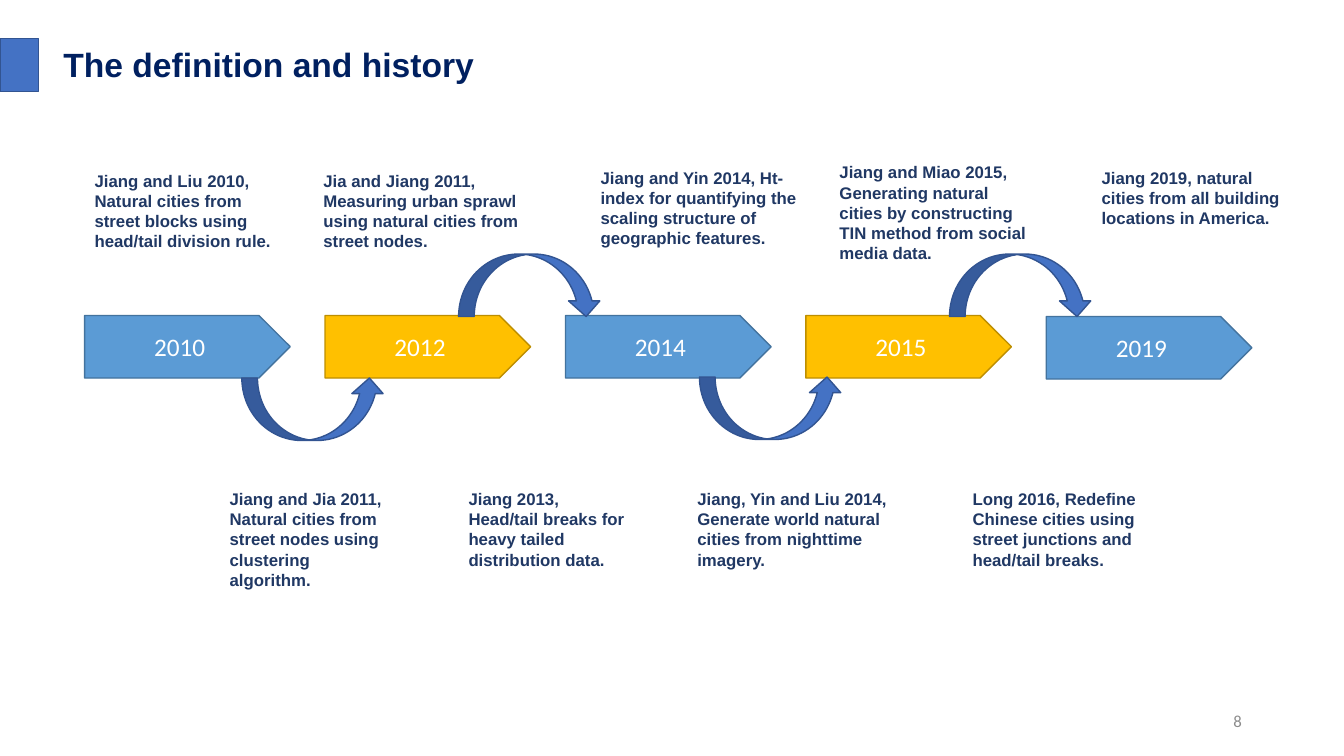
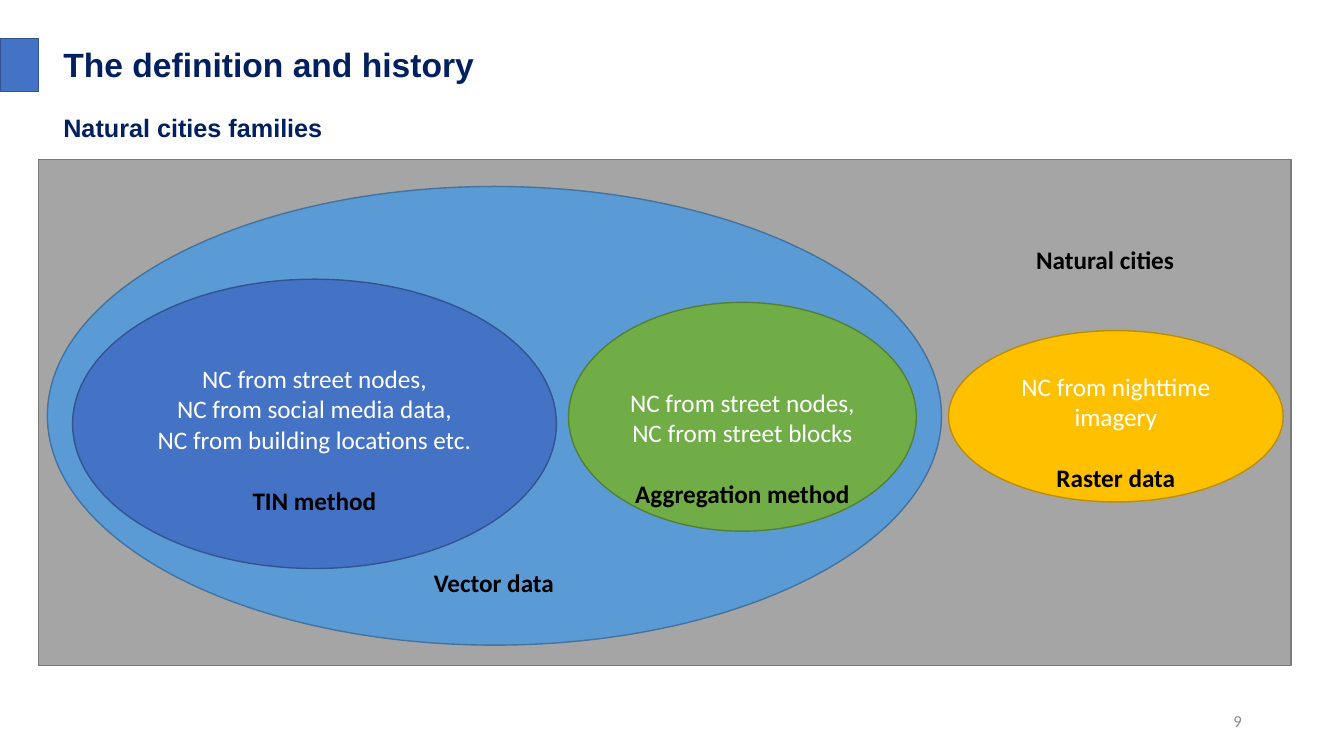
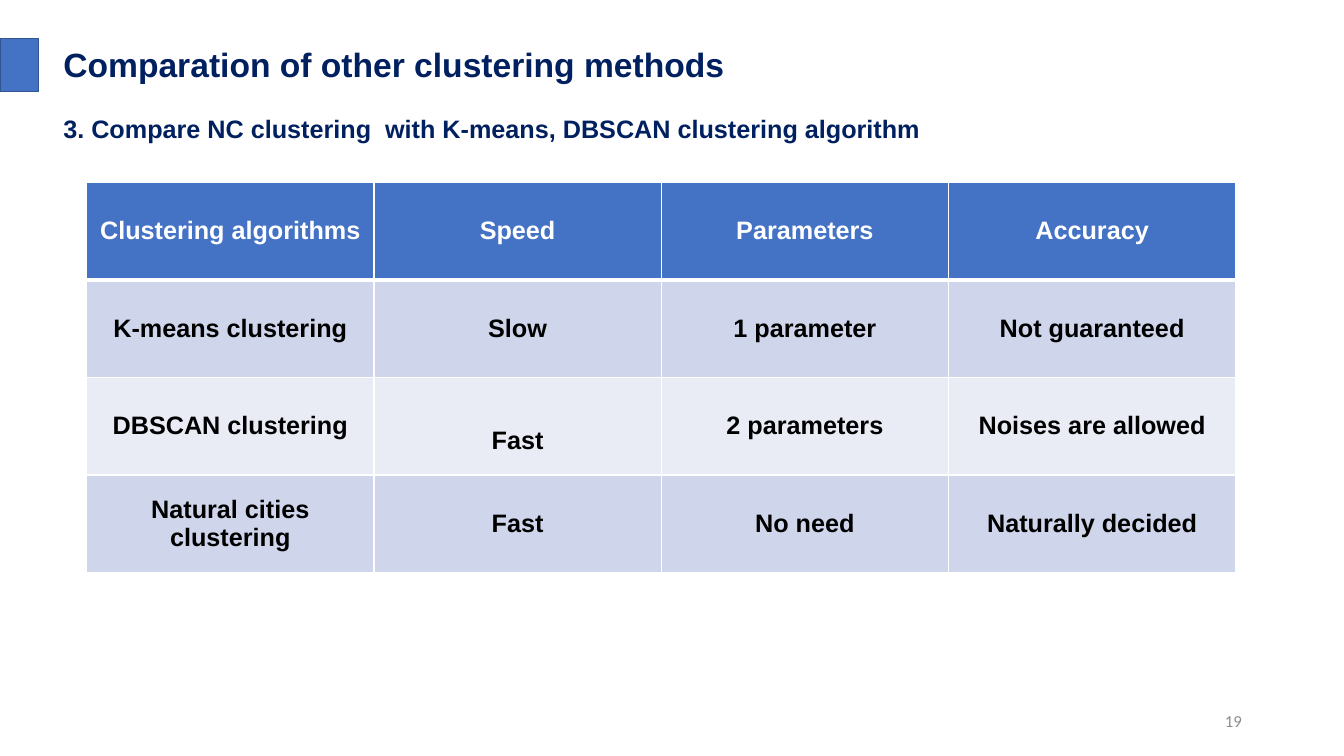
from dataclasses import dataclass

from lxml import etree
from pptx import Presentation
from pptx.dml.color import RGBColor
from pptx.enum.shapes import MSO_SHAPE
from pptx.enum.text import MSO_ANCHOR, PP_ALIGN
from pptx.oxml.ns import qn
from pptx.shapes.autoshape import Shape
from pptx.slide import Slide
from pptx.table import _Cell
from pptx.text.text import TextFrame
from pptx.util import Emu, Inches, Pt

RECT = MSO_SHAPE.RECTANGLE
OVAL = MSO_SHAPE.OVAL
PENTA = MSO_SHAPE.PENTAGON
UP = MSO_SHAPE.CURVED_UP_ARROW
DOWN = MSO_SHAPE.CURVED_DOWN_ARROW
LEFT, MID, RIGHT = PP_ALIGN.LEFT, PP_ALIGN.CENTER, PP_ALIGN.RIGHT
TOP, CENTER = MSO_ANCHOR.TOP, MSO_ANCHOR.MIDDLE

NAVY = RGBColor(0x00, 0x20, 0x60)
INK = RGBColor(0x20, 0x38, 0x64)
BLACK = RGBColor(0x00, 0x00, 0x00)
WHITE = RGBColor(0xFF, 0xFF, 0xFF)
DIM = RGBColor(0x8C, 0x8C, 0x8C)
BLUE = RGBColor(0x44, 0x72, 0xC4)
SKY = RGBColor(0x5B, 0x9B, 0xD5)
GOLD = RGBColor(0xFF, 0xC0, 0x00)
GREEN = RGBColor(0x70, 0xAD, 0x47)
GRAY = RGBColor(0xA5, 0xA5, 0xA5)
BAND = RGBColor(0xCF, 0xD5, 0xEA)
PALE = RGBColor(0xE9, 0xEB, 0xF5)
EDGE = {
    BLUE: RGBColor(0x32, 0x54, 0x91),
    SKY: RGBColor(0x43, 0x73, 0x9E),
    GOLD: RGBColor(0xBD, 0x8E, 0x00),
    GREEN: RGBColor(0x53, 0x80, 0x35),
    GRAY: RGBColor(0x7A, 0x7A, 0x7A),
}

WIDE, HIGH = Inches(13.33), Inches(7.5)
COLS, ROWS = 160, 90
PAD = Inches(0.05)
SANS, BODY = "Arial", "Calibri"
GAP = 22


@dataclass(frozen=True)
class Box:
    col: float
    row: float
    wide: float
    high: float

    def place(self) -> tuple[Emu, Emu, Emu, Emu]:
        unit, step = WIDE / COLS, HIGH / ROWS
        return (Emu(round(self.col * unit)), Emu(round(self.row * step)),
                Emu(round(self.wide * unit)), Emu(round(self.high * step)))


@dataclass(frozen=True)
class Note:
    col: float
    row: float
    wide: float
    lines: int
    text: str


@dataclass(frozen=True)
class Group:
    box: Box
    fill: RGBColor
    lead: int
    items: tuple[str, ...]
    foot: str


NOTES = (
    Note(10.08, 19.68, 24.48, 4, "Jiang and Liu 2010, Natural cities from street blocks "
         "using head/tail division rule."),
    Note(26.16, 57.6, 21.84, 5, "Jiang and Jia 2011, Natural cities from street nodes "
         "using clustering algorithm."),
    Note(37.32, 19.68, 25.8, 4, "Jia and Jiang 2011, Measuring urban sprawl using natural "
         "cities from street nodes."),
    Note(54.6, 57.6, 21.84, 4, "Jiang 2013, Head/tail breaks for heavy tailed "
         "distribution data."),
    Note(70.32, 19.32, 25.8, 4, "Jiang and Yin 2014, Ht-index for quantifying the scaling "
         "structure of geographic features."),
    Note(81.84, 57.6, 25.8, 4, "Jiang, Yin and Liu 2014, Generate world natural cities "
         "from nighttime imagery."),
    Note(98.76, 18.72, 25.8, 5, "Jiang and Miao 2015, Generating natural cities by "
         "constructing TIN method from social media data."),
    Note(114.6, 57.6, 25.8, 4, "Long 2016, Redefine Chinese cities using street junctions "
         "and head/tail breaks."),
    Note(129.96, 19.32, 25.8, 3, "Jiang 2019, natural cities from all building locations "
         "in America."),
)
YEARS = ("2010", "2012", "2014", "2015", "2019")
CURVES = ((UP, 28.8, 45), (UP, 83.28, 44.88), (DOWN, 54.6, 30.24), (DOWN, 113.04, 30.24))
GROUPS = (
    Group(Box(112.92, 39.36, 39.84, 20.4), GOLD, 1,
          ("NC from nighttime imagery",), "Raster data"),
    Group(Box(8.64, 33.24, 57.6, 34.44), BLUE, 1,
          ("NC from street nodes,", "NC from social media data,",
           "NC from building locations etc."), "TIN method"),
    Group(Box(67.68, 36, 41.4, 27.24), GREEN, 2,
          ("NC from street nodes,", "NC from street blocks"), "Aggregation method"),
)
TABLE = (
    ("Clustering algorithms", "Speed", "Parameters", "Accuracy"),
    ("K-means clustering", "Slow", "1 parameter", "Not guaranteed"),
    ("DBSCAN clustering", "Fast", "2 parameters", "Noises are allowed"),
    ("Natural cities clustering", "Fast", "No need", "Naturally decided"),
)
FILLS = (BLUE, BAND, PALE, BAND)


def write(frame: TextFrame, text: str, *, size: float = 18, font: str = BODY,
          color: RGBColor = BLACK, bold: bool = False, align: PP_ALIGN = LEFT,
          before: float = 0) -> None:
    first = frame.paragraphs[0]
    para = frame.add_paragraph() if first.runs else first
    para.alignment = align
    if before:
        para.space_before = Pt(before)
    run = para.add_run()
    run.text = text
    run.font.size = Pt(size)
    run.font.name = font
    run.font.bold = bold
    run.font.color.rgb = color


def label(slide: Slide, box: Box, text: str, anchor: MSO_ANCHOR = TOP, **form) -> None:
    frame = slide.shapes.add_textbox(*box.place()).text_frame
    frame.word_wrap = True
    frame.vertical_anchor = anchor
    write(frame, text, **form)


def draw(slide: Slide, kind: MSO_SHAPE, box: Box, fill: RGBColor) -> Shape:
    shape = slide.shapes.add_shape(kind, *box.place())
    shape.shadow.inherit = False
    shape.fill.solid()
    shape.fill.fore_color.rgb = fill
    shape.line.color.rgb = EDGE[fill]
    shape.line.width = Pt(1)
    shape.text_frame.vertical_anchor = CENTER
    return shape


def head(slide: Slide, title: str, page: str) -> None:
    label(slide, Box(6.36, 4.68, 81.36, 6), title,
          size=24, font=SANS, color=NAVY, bold=True)
    draw(slide, RECT, Box(0, 4.56, 4.56, 6.36), BLUE)
    label(slide, Box(113.04, 83.4, 36, 4.8), page, CENTER,
          size=12, color=DIM, align=RIGHT)


def sub(slide: Slide, text: str, row: float) -> None:
    label(slide, Box(6.36, row, 118, 4.8), text, font=SANS, color=NAVY, bold=True)


def history(slide: Slide) -> None:
    head(slide, "The definition and history", "8")
    for i, year in enumerate(YEARS):
        row = 37.68 if year == YEARS[-1] else 37.56
        box = Box(10.08 + i * 28.62, row, 24.48, 7.44)
        shape = draw(slide, PENTA, box, GOLD if i % 2 else SKY)
        write(shape.text_frame, year, color=WHITE, align=MID)
    for kind, col, row in CURVES:
        draw(slide, kind, Box(col, row, 17.04, 7.44), BLUE)
    for note in NOTES:
        box = Box(note.col, note.row, note.wide, 1.2 + 2.42 * note.lines)
        label(slide, box, note.text, size=12, font=SANS, color=INK, bold=True)


def family(slide: Slide) -> None:
    draw(slide, RECT, Box(4.56, 18.96, 149.16, 60.24), GRAY)
    draw(slide, OVAL, Box(5.64, 22.2, 106.44, 54.6), SKY)
    head(slide, "The definition and history", "9")
    sub(slide, "Natural cities families", 12.84)
    for group in GROUPS:
        frame = draw(slide, OVAL, group.box, group.fill).text_frame
        frame.word_wrap = True
        frame.margin_top = PAD + Pt(GAP) * group.lead
        for item in group.items:
            write(frame, item, color=WHITE, align=MID)
        write(frame, group.foot, bold=True, align=MID, before=GAP)
    label(slide, Box(49.2, 66.96, 19.2, 4.8), "Vector data", bold=True, align=MID)
    label(slide, Box(122.16, 28.44, 22.44, 4.8), "Natural cities", bold=True)


def border(cell: _Cell, base: float) -> None:
    props = cell._tc.get_or_add_tcPr()
    sides = (("a:lnL", 1), ("a:lnR", 1), ("a:lnT", 1), ("a:lnB", base))
    for i, (side, width) in enumerate(sides):
        line = etree.Element(qn(side), w=str(Pt(width)))
        fill = etree.SubElement(line, qn("a:solidFill"))
        etree.SubElement(fill, qn("a:srgbClr"), val=str(WHITE))
        props.insert(i, line)


def compare(slide: Slide) -> None:
    head(slide, "Comparation of other clustering methods", "19")
    sub(slide, "3. Compare NC clustering  with K-means, DBSCAN clustering algorithm", 12.96)
    box = Box(10.32, 21.72, 136.8, 46.44)
    grid = slide.shapes.add_table(len(TABLE), len(TABLE[0]), *box.place()).table
    grid.horz_banding = False
    for r, texts in enumerate(TABLE):
        for c, text in enumerate(texts):
            cell = grid.cell(r, c)
            cell.fill.solid()
            cell.fill.fore_color.rgb = FILLS[r]
            cell.vertical_anchor = CENTER
            if (r, c) == (2, 1):
                cell.margin_top = PAD + Pt(20.7)
            write(cell.text_frame, text, font=SANS, bold=True, align=MID,
                  color=BLACK if r else WHITE)
            border(cell, 1 if r else 3)


def main() -> None:
    deck = Presentation()
    deck.slide_width, deck.slide_height = WIDE, HIGH
    for build in (history, family, compare):
        build(deck.slides.add_slide(deck.slide_layouts[6]))
    deck.save("out.pptx")


if __name__ == "__main__":
    main()
